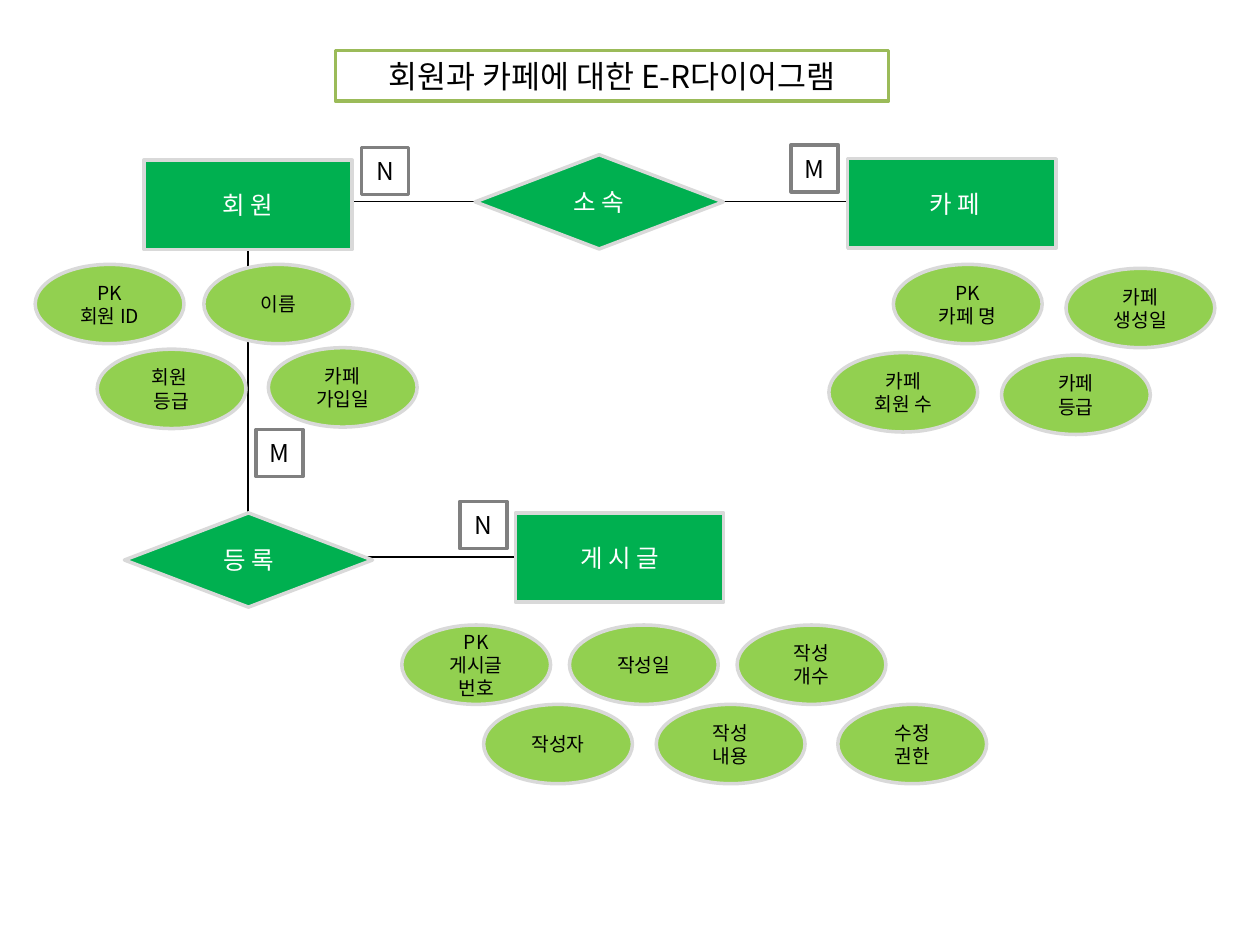
import pptx
import pptx.util
import pptx.dml.color
import pptx.enum.shapes
import pptx.enum.text
import pptx.oxml.ns
import lxml.etree

FONT = "Noto Sans CJK KR"
COLORS = {
    "black": "000000", "white": "FFFFFF", "green": "00B050", "lime": "92D050",
    "pale": "D9D9D9", "gray": "808080", "olive": "9BBB59",
}
KINDS = {
    "title": ("RECTANGLE", 11.15, 1.02, "white", "olive", "black", 18),
    "entity": ("RECTANGLE", 4.2, 1.8, "green", "pale", "white", 14),
    "relation": ("DIAMOND", 5, 1.9, "green", "pale", "white", 14),
    "attribute": ("OVAL", 3, 1.6, "lime", "pale", "black", 11),
    "cardinality": ("RECTANGLE", 0.95, 0.95, "white", "gray", "black", 14),
}
LINKS = [
    (6.38, 11.23, 10.52, 11.23),
    (5, 5.03, 5, 11.73),
    (6.5, 4.06, 17.7, 4.06),
]
POST_ROWS = [
    (12.6, [(8.1, "PK\n게시글\n번호"), (11.48, "작성일"), (14.86, "작성\n개수")]),
    (14.2, [(9.75, "작성자"), (13.23, "작성\n내용"), (16.89, "수정\n권한")]),
]
NODES = {
    "title": [(6.76, 1.02, "회원과 카페에 대한 E-R다이어그램")],
    "entity": [(2.9, 3.23, "회 원"), (17.09, 3.2, " 카 페"), (10.39, 10.34, "게 시 글")],
    "relation": [(9.58, 3.12, "소 속"), (2.51, 10.34, "등 록")],
    "attribute": [
        (0.71, 5.33, "PK\n회원 ID"), (4.11, 5.33, "이름"),
        (5.41, 7.01, "카페\n가입일"), (1.96, 7.04, "회원 \n등급"),
        (18.01, 5.33, "PK\n카페 명"), (16.71, 7.11, "카페\n회원 수"),
        (21.49, 5.41, "카페\n생성일"), (20.19, 7.16, "카페\n등급"),
    ] + [(left, top, text) for top, row in POST_ROWS for left, text in row],
    "cardinality": [
        (15.95, 2.92, "M"), (7.29, 2.97, "N"), (5.16, 8.66, "M"), (9.27, 10.11, "N"),
    ],
}


def color(name):
    return pptx.dml.color.RGBColor.from_string(COLORS[name])


def add_link(slide, ends):
    connector = slide.shapes.add_connector(
        pptx.enum.shapes.MSO_CONNECTOR.STRAIGHT, *map(pptx.util.Cm, ends))
    connector.line.color.rgb = color("black")
    connector.line.width = pptx.util.Pt(0.75)
    properties = connector._element.spPr
    lxml.etree.SubElement(properties, pptx.oxml.ns.qn("a:effectLst"))


def add_node(slide, kind, left, top, text):
    preset, width, height, fill, outline, ink, size = KINDS[kind]
    shape = slide.shapes.add_shape(
        getattr(pptx.enum.shapes.MSO_SHAPE, preset),
        *map(pptx.util.Cm, (left, top, width, height)))
    shape.shadow.inherit = False
    shape.fill.solid()
    shape.fill.fore_color.rgb = color(fill)
    shape.line.color.rgb = color(outline)
    shape.line.width = pptx.util.Pt(2)
    frame = shape.text_frame
    frame.text = text
    frame.word_wrap = True
    frame.vertical_anchor = pptx.enum.text.MSO_ANCHOR.MIDDLE
    if kind == "title":
        frame.vertical_anchor = pptx.enum.text.MSO_ANCHOR.TOP
        frame.auto_size = pptx.enum.text.MSO_AUTO_SIZE.SHAPE_TO_FIT_TEXT
    for paragraph in frame.paragraphs:
        paragraph.alignment = pptx.enum.text.PP_ALIGN.CENTER
        for run in paragraph.runs:
            run.font.name = FONT
            run.font.size = pptx.util.Pt(size)
            run.font.color.rgb = color(ink)
            east_asian = lxml.etree.SubElement(
                run._r.get_or_add_rPr(), pptx.oxml.ns.qn("a:ea"))
            east_asian.set("typeface", FONT)


presentation = pptx.Presentation()
presentation.slide_width = pptx.util.Cm(25.4)
presentation.slide_height = pptx.util.Cm(19.05)
slide = presentation.slides.add_slide(presentation.slide_layouts[6])
for ends in LINKS:
    add_link(slide, ends)
for kind, nodes in NODES.items():
    for left, top, text in nodes:
        add_node(slide, kind, left, top, text)
presentation.save("out.pptx")
